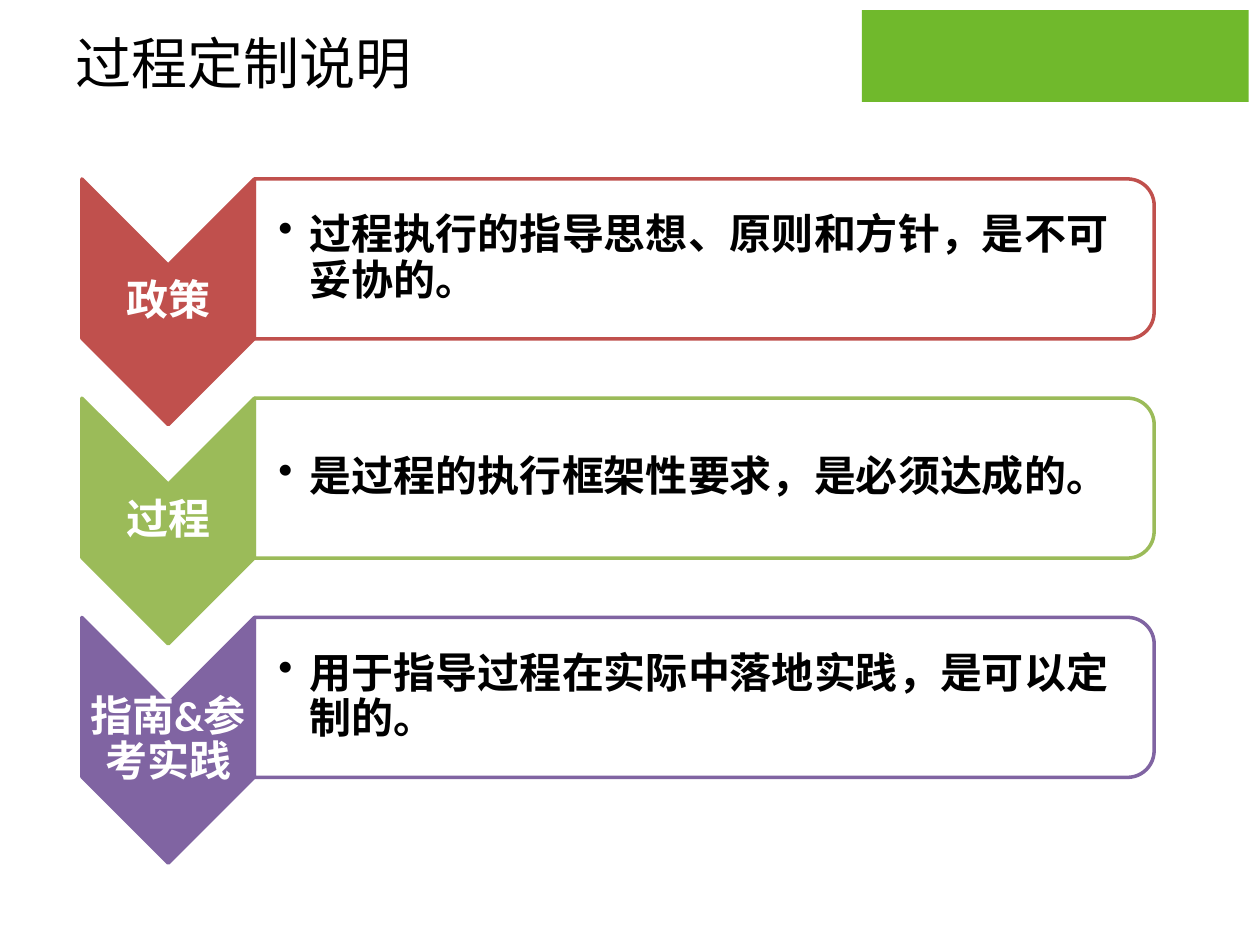
from lxml import etree
from pptx import Presentation
from pptx.dml.color import RGBColor
from pptx.enum import shapes, text
from pptx.oxml import ns
from pptx.util import Inches, Pt

COLORS = {
    "banner": "70B92C", "policy": "C0504D", "process": "9BBB59",
    "guide": "8064A2", "white": "FFFFFF", "black": "000000",
}
LEVELS = [
    ("policy", "政策", "过程执行的指导思想、原则和方针，是不可妥协的。"),
    ("process", "过程", "是过程的执行框架性要求，是必须达成的。"),
    ("guide", "指南&参考实践", "用于指导过程在实际中落地实践，是可以定制的。"),
]
CHEVRON_W, CHEVRON_H = 1.37, 1.95
PANEL_H, ROW_PITCH = 1.27, 1.74


def rgb(name):
    return RGBColor.from_string(COLORS[name])


def add_filled(slide, kind, left, top, width, height, fill):
    shape = slide.shapes.add_shape(
        kind, Inches(left), Inches(top), Inches(width), Inches(height))
    shape.shadow.inherit = False
    shape.fill.solid()
    shape.fill.fore_color.rgb = rgb(fill)
    shape.line.fill.background()
    return shape


def add_turned(slide, kind, left, top, width, height, fill, line):
    """Shape turned a quarter clockwise so that it covers the given box."""
    shift = (width - height) / 2
    shape = add_filled(slide, kind, left + shift, top - shift,
                       height, width, fill)
    shape.rotation = 90
    shape.line.color.rgb = rgb(line)
    shape.line.width = Pt(2)
    return shape


def add_words(slide, words, left, top, width, height, color,
              inset_left, inset_right):
    box = slide.shapes.add_textbox(
        Inches(left), Inches(top), Inches(width), Inches(height))
    frame = box.text_frame
    frame.word_wrap = True
    frame.vertical_anchor = text.MSO_ANCHOR.MIDDLE
    frame.margin_left = Inches(inset_left)
    frame.margin_right = Inches(inset_right)
    frame.margin_top = frame.margin_bottom = Inches(0.02)
    frame.text = words
    paragraph = frame.paragraphs[0]
    paragraph.line_spacing = 0.9
    font = paragraph.runs[0].font
    font.name, font.size, font.bold = "Calibri", Pt(24), True
    font.color.rgb = rgb(color)
    return paragraph


def add_bullet(paragraph):
    props = paragraph._p.get_or_add_pPr()
    props.set("marL", str(Inches(0.25)))
    props.set("indent", str(-Inches(0.25)))
    etree.SubElement(props, ns.qn("a:buChar")).set("char", "•")


def add_title(slide, left, top, width, height):
    title = slide.shapes.title
    title.left, title.top = Inches(left), Inches(top)
    title.width, title.height = Inches(width), Inches(height)
    frame = title.text_frame
    frame.text = "过程定制说明"
    frame.vertical_anchor = text.MSO_ANCHOR.MIDDLE
    frame.margin_top, frame.margin_bottom = Inches(0.08), Inches(0.02)
    paragraph = frame.paragraphs[0]
    paragraph.alignment = text.PP_ALIGN.LEFT
    font = paragraph.runs[0].font
    font.name, font.size = "Noto Sans CJK SC", Pt(32)
    font.color.rgb = rgb("black")


def add_level(slide, left, top, width, color, label, description):
    # Chevron with its label; four characters need its full width
    add_turned(slide, shapes.MSO_SHAPE.CHEVRON, left, top,
               CHEVRON_W, CHEVRON_H, color, color)
    notch = CHEVRON_W / 2
    name = add_words(slide, label, left, top + notch, CHEVRON_W,
                     CHEVRON_H - 2 * notch, "white", 0, 0)
    name.alignment = text.PP_ALIGN.CENTER

    # Panel with its description
    panel_left, panel_w = left + CHEVRON_W, width - CHEVRON_W
    panel = add_turned(slide, shapes.MSO_SHAPE.ROUND_2_SAME_RECTANGLE,
                       panel_left, top, panel_w, PANEL_H, "white", color)
    fill_color = panel._element.spPr.find(
        f"{ns.qn('a:solidFill')}/{ns.qn('a:srgbClr')}")
    etree.SubElement(fill_color, ns.qn("a:alpha")).set("val", "90000")
    add_bullet(add_words(slide, description, panel_left, top + 0.06,
                         panel_w - 0.06, PANEL_H - 0.12, "black", 0.19, 0.02))


def add_levels(slide, left, top, width):
    for row, level in enumerate(LEVELS):
        add_level(slide, left, top + row * ROW_PITCH, width, *level)


def main():
    deck = Presentation()
    deck.slide_width, deck.slide_height = Inches(10), Inches(7.5)
    slide = deck.slides.add_slide(deck.slide_layouts[5])
    add_filled(slide, shapes.MSO_SHAPE.RECTANGLE,
               6.84, 0.08, 3.07, 0.73, "banner")
    add_title(slide, 0.5, 0.18, 5.57, 0.56)
    add_levels(slide, 0.65, 1.42, 8.51)
    deck.save("out.pptx")


if __name__ == "__main__":
    main()
